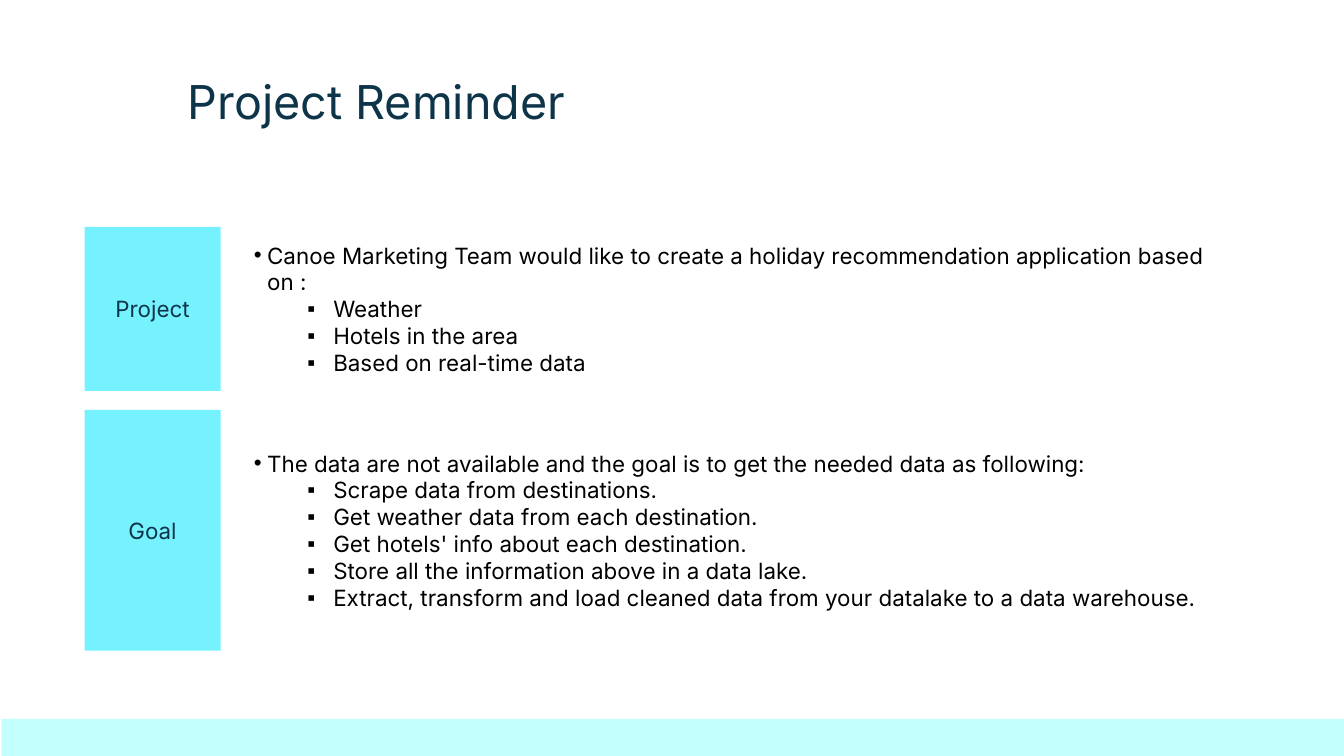
from pptx import Presentation
from pptx import util as u
from pptx.dml.color import RGBColor
from pptx.enum import shapes, text
from lxml import etree
from dataclasses import dataclass


@dataclass(frozen=True)
class Theme:
    font: str = "Inter"
    ink: str = "0E3449"
    body: str = "000000"
    tile: str = "76F2FF"
    band: str = "C3FFFC"
    head: int = 25
    base: int = 12


THEME = Theme()
TITLE = "Project Reminder"
ROWS = [
    ("Project", 3.1, 2.9,
     "Canoe Marketing Team would like to create a holiday recommendation application based on :",
     ["Weather", "Hotels in the area", "Based on real-time data"]),
    ("Goal", 4.55, 3.33,
     "The data are not available and the goal is to get the needed data as following:",
     ["Scrape data from destinations.",
      "Get weather data from each destination.",
      "Get hotels' info about each destination.",
      "Store all the information above in a data lake.",
      "Extract, transform and load cleaned data from your datalake to a data warehouse."]),
]
TOP, GAP = 4.29, 0.36
LEVELS = {0: ("•", 0.25, 0.25, 0.25), 2: ("▪", 1.5, 0.49, 1.0)}


def style(para, size, color):
    para.font.name = THEME.font
    para.font.size = u.Pt(size)
    para.font.color.rgb = RGBColor.from_string(color)


def block(slide, box, color):
    shape = slide.shapes.add_shape(shapes.MSO_SHAPE.RECTANGLE, *map(u.Cm, box))
    shape.shadow.inherit = False
    shape.fill.solid()
    shape.fill.fore_color.rgb = RGBColor.from_string(color)
    shape.line.fill.background()
    return shape


def label(slide, box):
    frame = slide.shapes.add_textbox(*map(u.Cm, box)).text_frame
    frame.word_wrap = True
    return frame


def bullet(para, level):
    mark, left, hang, stop = LEVELS[level]
    para.level = level
    props = para._p.get_or_add_pPr()
    props.set("marL", str(u.Cm(left)))
    props.set("indent", str(-u.Cm(hang)))
    space = props.nsmap["a"]

    def add(parent, name, **attrs):
        return etree.SubElement(parent, f"{{{space}}}{name}", **attrs)

    add(add(props, "buClr"), "srgbClr", val=THEME.body)
    add(props, "buFont", typeface="Arial")
    add(props, "buChar", char=mark)
    add(add(props, "tabLst"), "tab", pos=str(u.Cm(stop)), algn="l")


def row(slide, top, name, high, tall, lead, items):
    tile = block(slide, (1.6, top, 2.57, high), THEME.tile)
    tile.text_frame.vertical_anchor = text.MSO_ANCHOR.MIDDLE
    para = tile.text_frame.paragraphs[0]
    para.text = name
    para.alignment = text.PP_ALIGN.CENTER
    style(para, THEME.base, THEME.ink)

    frame = label(slide, (4.55, top + (high - tall) / 2, 18.75, tall))
    frame.vertical_anchor = text.MSO_ANCHOR.MIDDLE
    frame.auto_size = text.MSO_AUTO_SIZE.SHAPE_TO_FIT_TEXT
    frame.text = "\n".join([lead, *items])
    for i, para in enumerate(frame.paragraphs):
        bullet(para, 2 if i else 0)
        style(para, THEME.base, THEME.body)


def main():
    deck = Presentation()
    deck.slide_width, deck.slide_height = u.Cm(25.4), u.Cm(14.29)
    slide = deck.slides.add_slide(deck.slide_layouts[6])

    frame = label(slide, (3.3, 1.12, 21.62, 1.47))
    frame.margin_top = frame.margin_bottom = u.Cm(0.25)
    frame.text = TITLE
    style(frame.paragraphs[0], THEME.head, THEME.ink)

    block(slide, (0.03, 13.59, 25.4, 0.7), THEME.band)
    top = TOP
    for entry in ROWS:
        row(slide, top, *entry)
        top += entry[1] + GAP
    deck.save("out.pptx")


if __name__ == "__main__":
    main()
